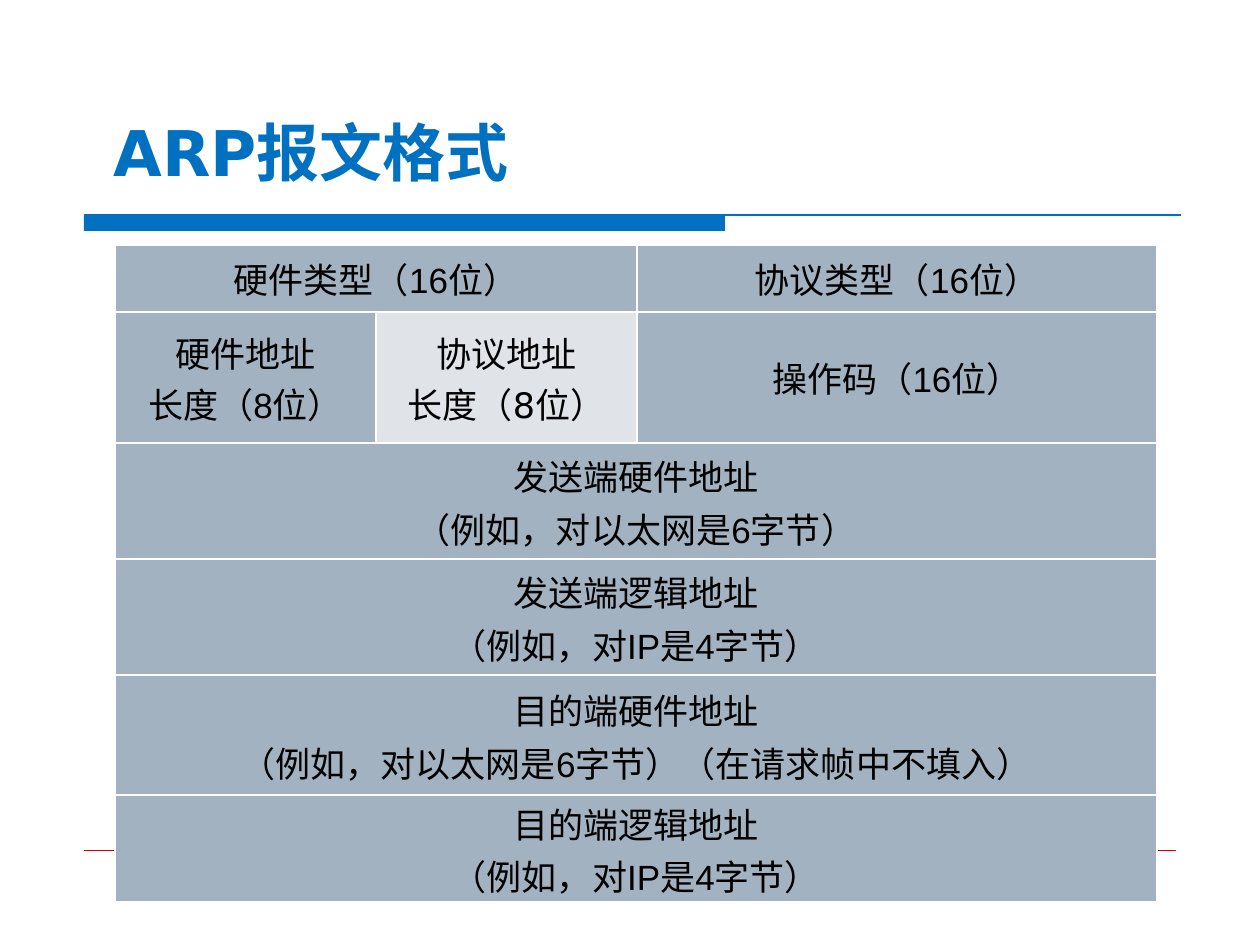
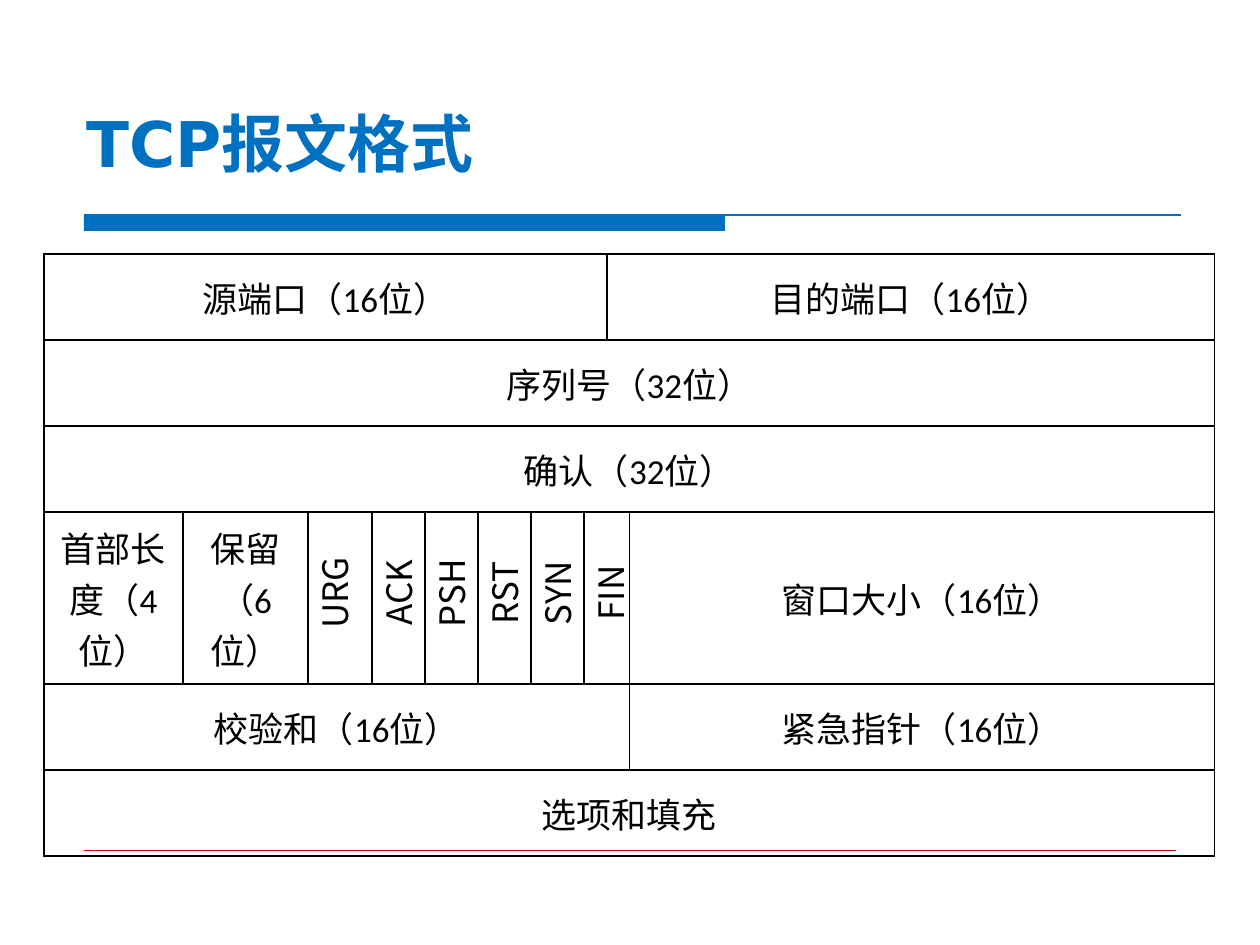
from lxml.etree import SubElement
from pptx import Presentation
from pptx.dml.color import RGBColor
from pptx.enum.shapes import MSO_CONNECTOR as Connector, MSO_SHAPE as Shape
from pptx.enum.text import MSO_ANCHOR as Anchor, PP_ALIGN as Align
from pptx.oxml import parse_xml
from pptx.oxml.ns import nsdecls, qn
from pptx.util import Emu, Pt

BLUE = RGBColor(0x00, 0x70, 0xC0)
RED = RGBColor(0xCC, 0x00, 0x00)
BLACK = RGBColor(0x00, 0x00, 0x00)
WHITE = RGBColor(0xFF, 0xFF, 0xFF)
STEEL = RGBColor(0xA3, 0xB2, 0xC1)
PALE = RGBColor(0xE0, 0xE4, 0xE9)
CHINESE_FONT = "Noto Sans CJK SC"
TITLE_FONT = "DejaVu Sans"
PIXELS_PER_INCH = 126

# A cell is (text, columns it spans, options); a row fills all columns.
PAIR = {"leading": 30}
FLAG = {"font": CHINESE_FONT, "upright": True}
ARP = {
    "title": "ARP报文格式", "title_at": (101, 38),
    "at": (115, 245), "columns": [261, 261, 520],
    "row_heights": [67, 131, 116, 116, 120, 107],
    "font": "Arial", "fill": STEEL, "border": WHITE, "inset": 10,
    "rows": [
        [("硬件类型（16位）", 2, {}), ("协议类型（16位）", 1, {})],
        [("硬件地址\n长度（8位）", 1, {}),
         ("协议地址\n长度（8位）", 1, {"font": TITLE_FONT, "fill": PALE}),
         ("操作码（16位）", 1, {})],
        [("发送端硬件地址\n（例如，对以太网是6字节）", 3, PAIR)],
        [("发送端逻辑地址\n（例如，对IP是4字节）", 3, PAIR)],
        [("目的端硬件地址\n（例如，对以太网是6字节）（在请求帧中不填入）", 3, PAIR)],
        [("目的端逻辑地址\n（例如，对IP是4字节）", 3, PAIR)],
    ],
}
TCP = {
    "title": "TCP报文格式", "title_at": (74, 29),
    "at": (44, 254), "columns": [139, 125, 64, 53, 53, 53, 53, 20, 20, 585],
    "row_heights": [86, 86, 86, 172, 86, 86],
    "font": "Calibri", "fill": None, "border": BLACK, "inset": 9,
    "rows": [
        [("源端口（16位）", 8, {}), ("目的端口（16位）", 2, {})],
        [("序列号（32位）", 10, {})],
        [("确认（32位）", 10, {})],
        [("首部长度（4位）", 1, {}), ("保留\v（6位）", 1, {}),
         *[(flag, 1, FLAG) for flag in ("URG", "ACK", "PSH", "RST", "SYN")],
         ("FIN", 2, FLAG), ("窗口大小（16位）", 1, {})],
        [("校验和（16位）", 9, {}), ("紧急指针（16位）", 1, {})],
        [("选项和填充", 10, {})],
    ],
}


def px(pixels):
    """Turn pixels into EMU."""
    return Emu(round(pixels * 914400 / PIXELS_PER_INCH))


def style_span(span, size, font, color, bold=False):
    """Set the size, fonts and colour of one run."""
    span.font.size, span.font.name, span.font.bold = Pt(size), font, bold
    span.font.color.rgb = color
    east_asian = SubElement(span.font._element, qn("a:ea"))
    east_asian.set("typeface", CHINESE_FONT)


def add_rule(page, left, right, top, color, width):
    """Draw a horizontal line."""
    rule = page.shapes.add_connector(
        Connector.STRAIGHT, px(left), px(top), px(right), px(top))
    rule.line.color.rgb, rule.line.width = color, Pt(width)
    SubElement(rule._element.spPr, qn("a:effectLst"))


def add_frame(page, title, title_at):
    """Add the title, the blue band and the footer rule."""
    band = page.shapes.add_shape(
        Shape.RECTANGLE, px(84), px(215), px(641), px(16))
    band.shadow.inherit = False
    band.fill.solid()
    band.fill.fore_color.rgb = BLUE
    band.line.fill.background()
    add_rule(page, 84, 1181, 215, BLUE, 0.75)
    add_rule(page, 84, 1176, 850, RED, 0.25)

    left, top = title_at
    box = page.shapes.add_textbox(px(left), px(top), px(1071), px(157))
    frame = box.text_frame
    frame.word_wrap, frame.vertical_anchor = True, Anchor.BOTTOM
    frame.text = title
    style_span(frame.paragraphs[0].runs[0], 36, TITLE_FONT, BLUE, bold=True)


def paint_cell(cell, fill, border):
    """Set the fill and the four borders of a cell."""
    if fill is None:
        cell.fill.background()
    else:
        cell.fill.solid()
        cell.fill.fore_color.rgb = fill
    properties = cell._tc.get_or_add_tcPr()
    for position, side in enumerate(("lnL", "lnR", "lnT", "lnB")):
        properties.insert(position, parse_xml(
            f'<a:{side} {nsdecls("a")} w="12700"><a:solidFill>'
            f'<a:srgbClr val="{border}"/></a:solidFill></a:{side}>'))


def write_cell(cell, text, font, inset, leading=None, upright=False):
    """Write centred text into a cell."""
    cell.margin_left = cell.margin_right = px(inset)
    cell.margin_top = cell.margin_bottom = 0
    cell.vertical_anchor = Anchor.MIDDLE
    cell.text_frame.text = text
    if upright:
        cell._tc.get_or_add_tcPr().set("vert", "vert270")
    for para in cell.text_frame.paragraphs:
        para.alignment = Align.CENTER
        if leading:
            para.line_spacing = Pt(leading)
        if upright:
            para._p.get_or_add_pPr().set("marL", str(px(10)))
        for span in para.runs:
            style_span(span, 20, font, BLACK)


def add_format_table(page, message):
    """Lay out the fields of a message format as a table."""
    columns, heights = message["columns"], message["row_heights"]
    left, top = message["at"]
    table = page.shapes.add_table(
        len(heights), len(columns), px(left), px(top),
        px(sum(columns)), px(sum(heights))).table
    table.first_row = table.horz_banding = False
    for column, width in zip(table.columns, columns):
        column.width = px(width)
    for row, height in zip(table.rows, heights):
        row.height = px(height)

    for row_index, fields in enumerate(message["rows"]):
        start = 0
        for text, width, options in fields:
            choice = {"font": message["font"], "fill": message["fill"], **options}
            fill = choice.pop("fill")
            end = start + width
            for column_index in range(start, end):
                paint_cell(table.cell(row_index, column_index), fill, message["border"])
            cell = table.cell(row_index, start)
            if width > 1:
                cell.merge(table.cell(row_index, end - 1))
            write_cell(cell, text, inset=message["inset"], **choice)
            start = end


deck = Presentation()
deck.slide_width, deck.slide_height = px(1260), px(945)
for message in (ARP, TCP):
    page = deck.slides.add_slide(deck.slide_layouts[6])
    add_frame(page, message["title"], message["title_at"])
    add_format_table(page, message)
deck.save("out.pptx")
